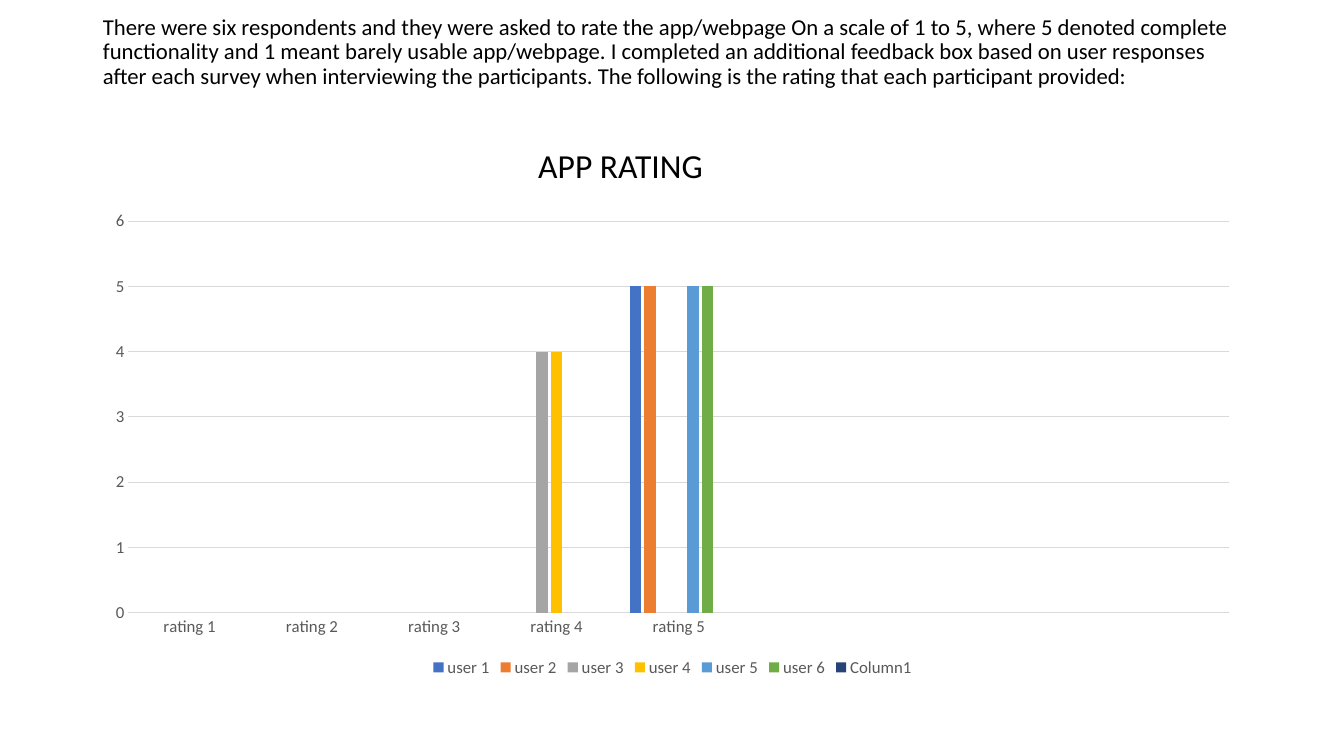
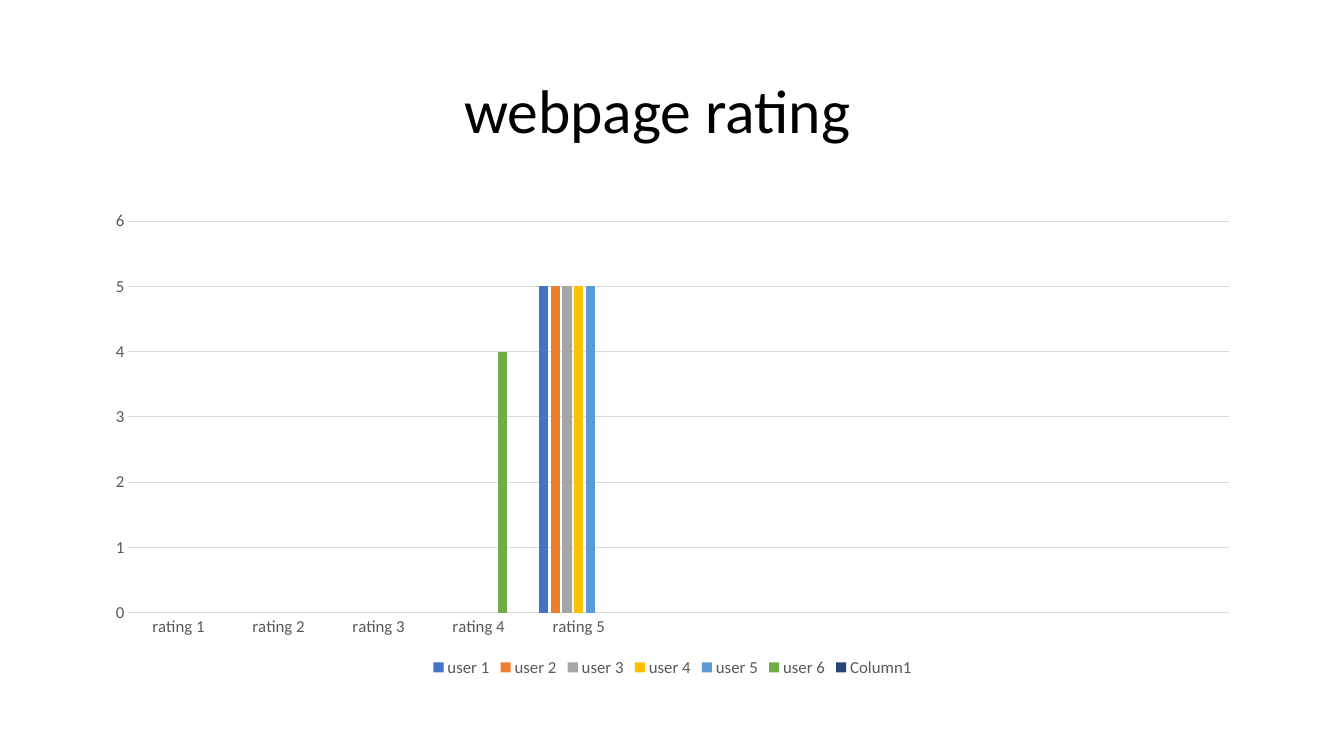
from dataclasses import dataclass

from pptx import Presentation
from pptx import util as u
from pptx.chart.data import CategoryChartData
from pptx.dml.color import RGBColor
from pptx.enum import chart as ch, text


@dataclass(frozen=True)
class Theme:
    """Colours, font and type sizes shared by the slides."""
    font: str = "Calibri"
    ink: str = "000000"
    label: str = "595959"
    rule: str = "D9D9D9"
    users: tuple = ("4472C4", "ED7D31", "A5A5A5", "FFC000",
                    "5B9BD5", "70AD47", "264478")
    title_size: float = 44
    intro_size: float = 16.2
    heading_size: float = 24
    label_size: float = 12
    chart_size: float = 10


THEME = Theme()
LEFT, WIDTH = u.Inches(0.92), u.Inches(11.5)
RATINGS = [f"rating {score}" for score in range(1, 6)]
SERIES = [f"user {number}" for number in range(1, 7)] + ["Column1"]
APP_SCORES = (5, 5, 4, 4, 5, 5)
WEBPAGE_SCORES = (5, 5, 5, 5, 5, 4)
INTRO = (
    "There were six respondents and they were asked to rate the app/webpage "
    "On a scale of 1 to 5, where 5 denoted complete functionality and 1 meant "
    "barely usable app/webpage. I completed an additional feedback box based "
    "on user responses after each survey when interviewing the participants. "
    "The following is the rating that each participant provided:"
)


def style_font(font, size, color):
    """Apply the theme font with a size and colour."""
    font.name = THEME.font
    font.size = u.Pt(size)
    font.color.rgb = RGBColor.from_string(color)


def style_rule(line):
    """Draw a thin grey chart rule."""
    line.width = u.Pt(0.75)
    line.color.rgb = RGBColor.from_string(THEME.rule)


def set_title(slide, wording, top, height, size, align):
    """Place and format the title placeholder."""
    title = slide.shapes.title
    title.left, title.width = LEFT, WIDTH
    title.top, title.height = u.Inches(top), u.Inches(height)
    frame = title.text_frame
    frame.text = wording
    frame.word_wrap = True
    frame.auto_size = text.MSO_AUTO_SIZE.NONE
    frame.vertical_anchor = text.MSO_ANCHOR.MIDDLE
    paragraph = frame.paragraphs[0]
    paragraph.alignment = align
    paragraph.line_spacing = 0.9
    style_font(paragraph.font, size, THEME.ink)
    return frame


def add_heading(slide, wording):
    """Add the heading above a chart."""
    heading = slide.shapes.add_textbox(
        u.Inches(5.24), u.Inches(1.39), u.Inches(2.34), u.Inches(0.5))
    frame = heading.text_frame
    frame.word_wrap = True
    frame.auto_size = text.MSO_AUTO_SIZE.SHAPE_TO_FIT_TEXT
    frame.text = wording
    style_font(frame.paragraphs[0].font, THEME.heading_size, THEME.ink)


def rating_data(scores, slots):
    """Put each user's score in its rating slot, leaving the rest empty."""
    data = CategoryChartData()
    data.categories = RATINGS + [""] * (slots - len(RATINGS))
    for name, score in zip(SERIES, (*scores, None)):
        data.add_series(name, [score if slot == score else None
                               for slot in range(1, slots + 1)])
    return data


def style_axis(axis):
    """Give an axis its grey labels and no tick marks."""
    axis.major_tick_mark = axis.minor_tick_mark = ch.XL_TICK_MARK.NONE
    style_font(axis.tick_labels.font, THEME.label_size, THEME.label)


def add_rating_chart(slide, scores, slots):
    """Add a clustered column chart of the users' ratings."""
    chart = slide.shapes.add_chart(
        ch.XL_CHART_TYPE.COLUMN_CLUSTERED, LEFT, u.Inches(2), WIDTH,
        u.Inches(4.76), rating_data(scores, slots)).chart
    style_font(chart.font, THEME.chart_size, THEME.ink)
    chart.has_title = False
    chart.has_legend = True
    chart.legend.position = ch.XL_LEGEND_POSITION.BOTTOM
    chart.legend.include_in_layout = False
    style_font(chart.legend.font, THEME.label_size, THEME.label)

    ratings, values = chart.category_axis, chart.value_axis
    style_axis(ratings)
    style_axis(values)
    style_rule(ratings.format.line)
    values.format.line.fill.background()
    values.has_major_gridlines = True
    style_rule(values.major_gridlines.format.line)
    values.minimum_scale, values.maximum_scale = 0, 6
    values.major_unit = 1

    plot = chart.plots[0]
    plot.vary_by_categories = False
    plot.gap_width, plot.overlap = 219, -27
    for user, color in zip(plot.series, THEME.users):
        user.format.fill.solid()
        user.format.fill.fore_color.rgb = RGBColor.from_string(color)


def main():
    """Build and save the two rating slides."""
    deck = Presentation()
    deck.slide_width, deck.slide_height = u.Inches(13.33), u.Inches(7.5)
    title_only = deck.slide_layouts[5]

    app = deck.slides.add_slide(title_only)
    set_title(app, INTRO, 0.07, 0.9, THEME.intro_size, text.PP_ALIGN.LEFT)
    add_rating_chart(app, APP_SCORES, 9)
    add_heading(app, "APP RATING")

    webpage = deck.slides.add_slide(title_only)
    frame = set_title(webpage, "webpage rating", 0.4, 1.45,
                      THEME.title_size, text.PP_ALIGN.CENTER)
    frame.margin_right = u.Inches(0.4)
    add_rating_chart(webpage, WEBPAGE_SCORES, 11)

    deck.save("out.pptx")


if __name__ == "__main__":
    main()
